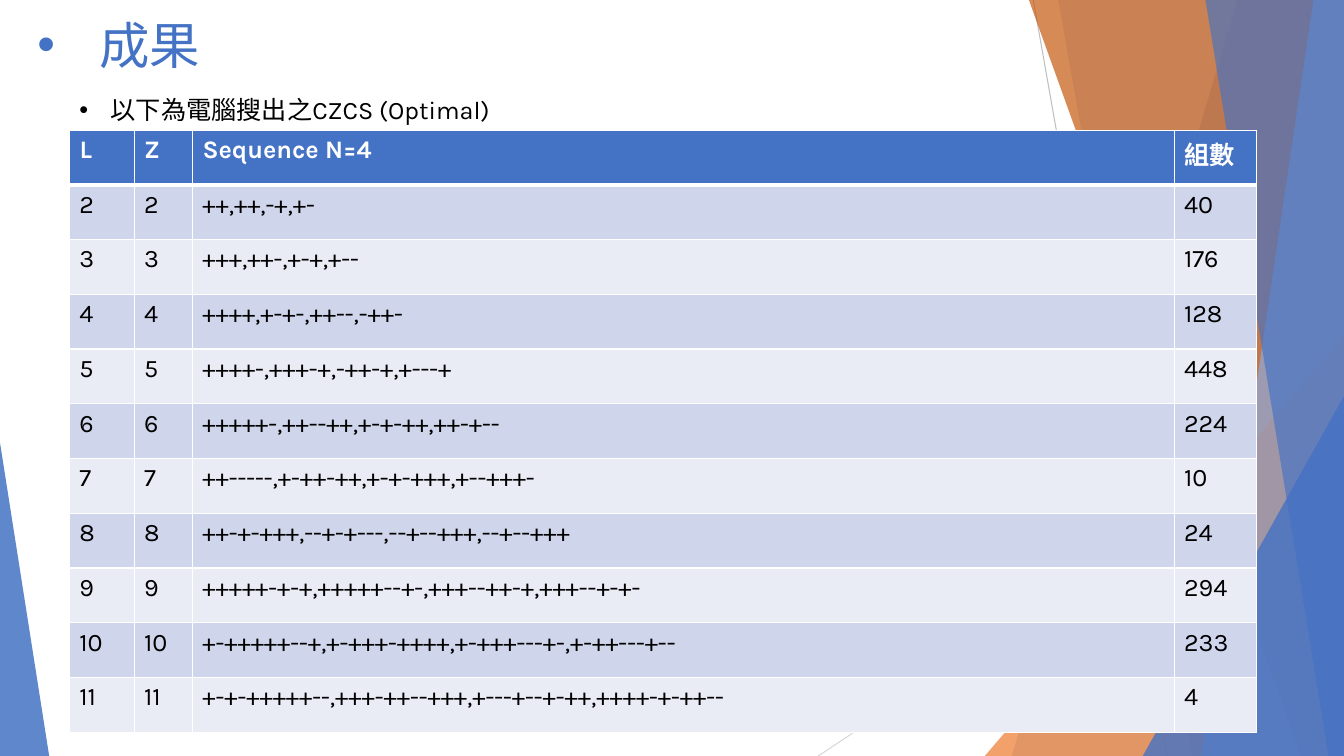
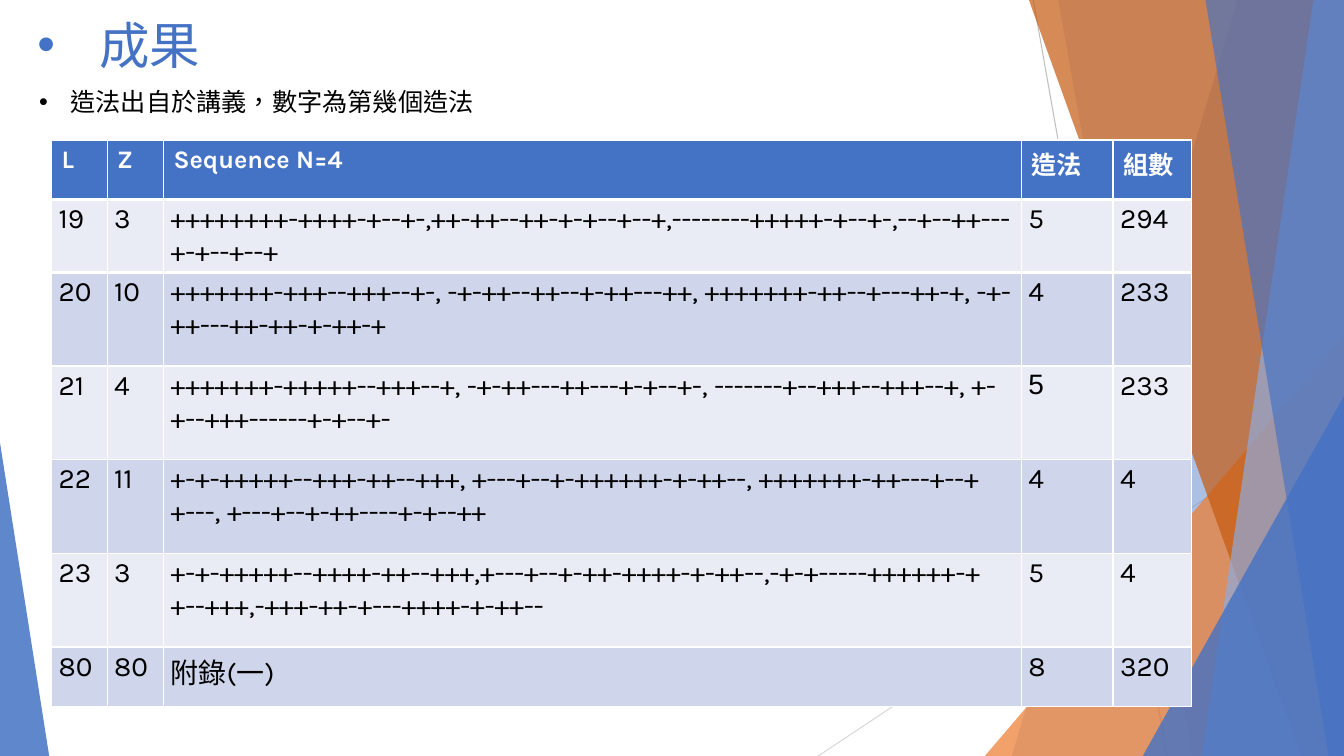
from pptx import Presentation, util as u
from pptx.dml.color import RGBColor
from pptx.enum import lang, shapes, text
from pptx.oxml import parse_xml
from pptx.oxml.ns import nsdecls, qn

BLUE, ORANGE, RUST, PALE = "4472C4", "ED7D31", "C55A11", "8FAADC"
BLACK, WHITE = "000000", "FFFFFF"
BANDS = ["CFD5EA", "E9EBF5"]
WIDTH, HEIGHT = 33.87, 19.05


def paint(fill, colour, opacity=100):
    fill.solid()
    fill.fore_color.rgb = RGBColor.from_string(colour)
    if opacity < 100:
        solid = fill._xPr.find(qn("a:solidFill"))
        solid[0].append(parse_xml(f'<a:alpha {nsdecls("a")} val="{opacity * 1000}"/>'))


def write(frame, words, size=18, colour=BLACK, font="Karla", bold=False, hanging=None):
    frame.word_wrap = True
    paragraph = frame.paragraphs[0]
    if hanging:
        properties = paragraph._p.get_or_add_pPr()
        properties.set("marL", str(u.Cm(hanging)))
        properties.set("indent", str(-u.Cm(hanging)))
        properties.append(parse_xml(f'<a:buFont {nsdecls("a")} typeface="Arial"/>'))
        properties.append(parse_xml(f'<a:buChar {nsdecls("a")} char="•"/>'))
    run = paragraph.add_run()
    run.text = words
    run.font.name, run.font.size, run.font.bold = font, u.Pt(size), bold
    run.font.language_id = lang.MSO_LANGUAGE_ID.TRADITIONAL_CHINESE
    paint(run.font.fill, colour)


deck = Presentation()
deck.slide_width, deck.slide_height = u.Cm(WIDTH), u.Cm(HEIGHT)
blank = deck.slide_layouts[6]

# Facets: drawn once, then moved to the layout
slide = deck.slides.add_slide(blank)
facets = []

for x1, y1, x2, y2, colour in [
    (26.04, 0, 29.41, HEIGHT, "BFBFBF"),
    (WIDTH, 10.24, 20.62, HEIGHT, "D9D9D9"),
]:
    ray = slide.shapes.add_connector(
        shapes.MSO_CONNECTOR.STRAIGHT, u.Cm(x1), u.Cm(y1), u.Cm(x2), u.Cm(y2))
    paint(ray.line.fill, colour)
    ray.line.width = u.Pt(0.75)
    ray.element.spPr.append(parse_xml(f'<a:effectLst {nsdecls("a")}/>'))
    facets.append(ray)

# Panels: (x at top, x at bottom); wedges: (left, top, width, apex)
for outline, colour, opacity in [
    ((31.19, 25.5), BLUE, 30),
    ((26.67, 30.05), BLUE, 20),
    ((24.82, 8.46, 9.05, 1), ORANGE, 72),
    ((25.93, 32.79), RUST, 70),
    ((33.1, 30.28), PALE, 70),
    ((30.38, 33.48), BLUE, 65),
    ((28.8, 9.98, 5.07, 1), BLUE, 80),
    ((0, 11.15, 1.24, 0), BLUE, 85),
]:
    if len(outline) == 2:
        top_x, bottom_x = outline
        builder = slide.shapes.build_freeform(u.Cm(top_x), 0)
        builder.add_line_segments([
            (u.Cm(x), u.Cm(y))
            for x, y in [(WIDTH, 0), (WIDTH, HEIGHT), (bottom_x, HEIGHT)]])
        facet = builder.convert_to_shape()
    else:
        left, top, width, apex = outline
        facet = slide.shapes.add_shape(
            shapes.MSO_SHAPE.ISOSCELES_TRIANGLE,
            u.Cm(left), u.Cm(top), u.Cm(width), u.Cm(HEIGHT - top))
        facet.adjustments[0] = apex
    paint(facet.fill, colour, opacity)
    facet.line.fill.background()
    facet.shadow.inherit = False
    facets.append(facet)

for facet in facets:
    blank.shapes.element.append(facet.element)

# Content of the two result slides
searched = dict(
    caption="以下為電腦搜出之CZCS (Optimal)", caption_font="Karla",
    caption_at=(1.75, 2.26, 17.09), table_at=(1.75, 3.28),
    columns=[1.63, 1.47, 24.74, 2.08], heights=[1.38] * 11,
    size=18, margins=(0.25, 0.13), first_band=0, thick_below=[0], arial_cells=[],
    rows=[
        ("L", "Z", "Sequence N=4", "組數"),
        ("2", "2", "++,++,-+,+-", "40"),
        ("3", "3", "+++,++-,+-+,+--", "176"),
        ("4", "4", "++++,+-+-,++--,-++-", "128"),
        ("5", "5", "++++-,+++-+,-++-+,+---+", "448"),
        ("6", "6", "+++++-,++--++,+-+-++,++-+--", "224"),
        ("7", "7", "++-----,+-++-++,+-+-+++,+--+++-", "10"),
        ("8", "8", "++-+-+++,--+-+---,--+--+++,--+--+++", "24"),
        ("9", "9", "+++++-+-+,+++++--+-,+++--++-+,+++--+-+-", "294"),
        ("10", "10", "+-+++++--+,+-+++-++++,+-+++---+-,+-++---+--", "233"),
        ("11", "11", "+-+-+++++--,+++-++--+++,+---+--+-++,++++-+-++--", "4"),
    ])
constructed = dict(
    caption="造法出自於講義，數字為第幾個造法", caption_font="Arial",
    caption_at=(0.74, 2.06, 17.7), table_at=(1.3, 3.53),
    columns=[1.4, 1.42, 21.62, 2.31, 1.98], heights=[1.5] * 2 + [2.36] * 4 + [1.5],
    size=20, margins=(0.18, 0.09), first_band=1, thick_below=[0, 1], arial_cells=[(3, 3)],
    rows=[
        ("L", "Z", "Sequence N=4", "造法", "組數"),
        ("19", "3", "++++++++-++++-+--+-,++-++--++-+-+--+--+,"
         "--------+++++-+--+-,--+--++---+-+--+--+", "5", "294"),
        ("20", "10", "+++++++-+++--+++--+-, -+-++--++--+-++---++, "
         "+++++++-++--+---++-+, -+-++---++-++-+-++-+", "4", "233"),
        ("21", "4", "+++++++-+++++--+++--+, -+-++---++---+-+--+-, "
         "-------+--+++--+++--+, +-+--+++------+-+--+-", "5", "233"),
        ("22", "11", "+-+-+++++--+++-++--+++, +---+--+-++++++-+-++--, "
         "+++++++-++---+--++---, +---+--+-++----+-+--++", "4", "4"),
        ("23", "3", "+-+-+++++--++++-++--+++,+---+--+-++-++++-+-++--,"
         "-+-+-----++++++-++--+++,-+++-++-+---++++-+-++--", "5", "4"),
        ("80", "80", "附錄(一)", "8", "320"),
    ])

for result in (searched, constructed):
    if result is not searched:
        slide = deck.slides.add_slide(blank)

    # Results table
    rows, columns, thick = result["rows"], result["columns"], result["thick_below"]
    left, top = result["table_at"]
    grid = slide.shapes.add_table(
        len(rows), len(columns), u.Cm(left), u.Cm(top),
        u.Cm(sum(columns)), u.Cm(sum(result["heights"]))).table
    grid.horz_banding = False
    for column, width in zip(grid.columns, columns):
        column.width = u.Cm(width)
    for r, (row, height) in enumerate(zip(rows, result["heights"])):
        grid.rows[r].height = u.Cm(height)
        edges = {"L": 1, "R": 1, "T": 3 if r - 1 in thick else 1, "B": 3 if r in thick else 1}
        for c, words in enumerate(row):
            cell = grid.cell(r, c)
            for side, points in edges.items():
                cell._tc.get_or_add_tcPr().append(parse_xml(
                    f'<a:ln{side} {nsdecls("a")} w="{u.Pt(points)}"><a:solidFill>'
                    f'<a:srgbClr val="{WHITE}"/></a:solidFill></a:ln{side}>'))
            if r == 0:
                paint(cell.fill, BLUE)
                write(cell.text_frame, words, colour=WHITE, bold=True)
                continue
            paint(cell.fill, BANDS[(r - 1 + result["first_band"]) % 2])
            across, down = result["margins"]
            cell.margin_left = cell.margin_right = u.Cm(across)
            cell.margin_top = cell.margin_bottom = u.Cm(down)
            write(cell.text_frame, words, size=result["size"],
                  font="Arial" if (r, c) in result["arial_cells"] else "Karla")

    # Caption and title
    left, top, width = result["caption_at"]
    caption = slide.shapes.add_textbox(u.Cm(left), u.Cm(top), u.Cm(width), u.Cm(1.02))
    caption.text_frame.auto_size = text.MSO_AUTO_SIZE.SHAPE_TO_FIT_TEXT
    write(caption.text_frame, result["caption"], font=result["caption_font"], hanging=0.79)
    title = slide.shapes.add_textbox(u.Cm(0.69), u.Cm(0.23), u.Cm(23.88), u.Cm(3.66))
    write(title.text_frame, "成果", size=36, colour=BLUE, hanging=1.57)

deck.save("out.pptx")
